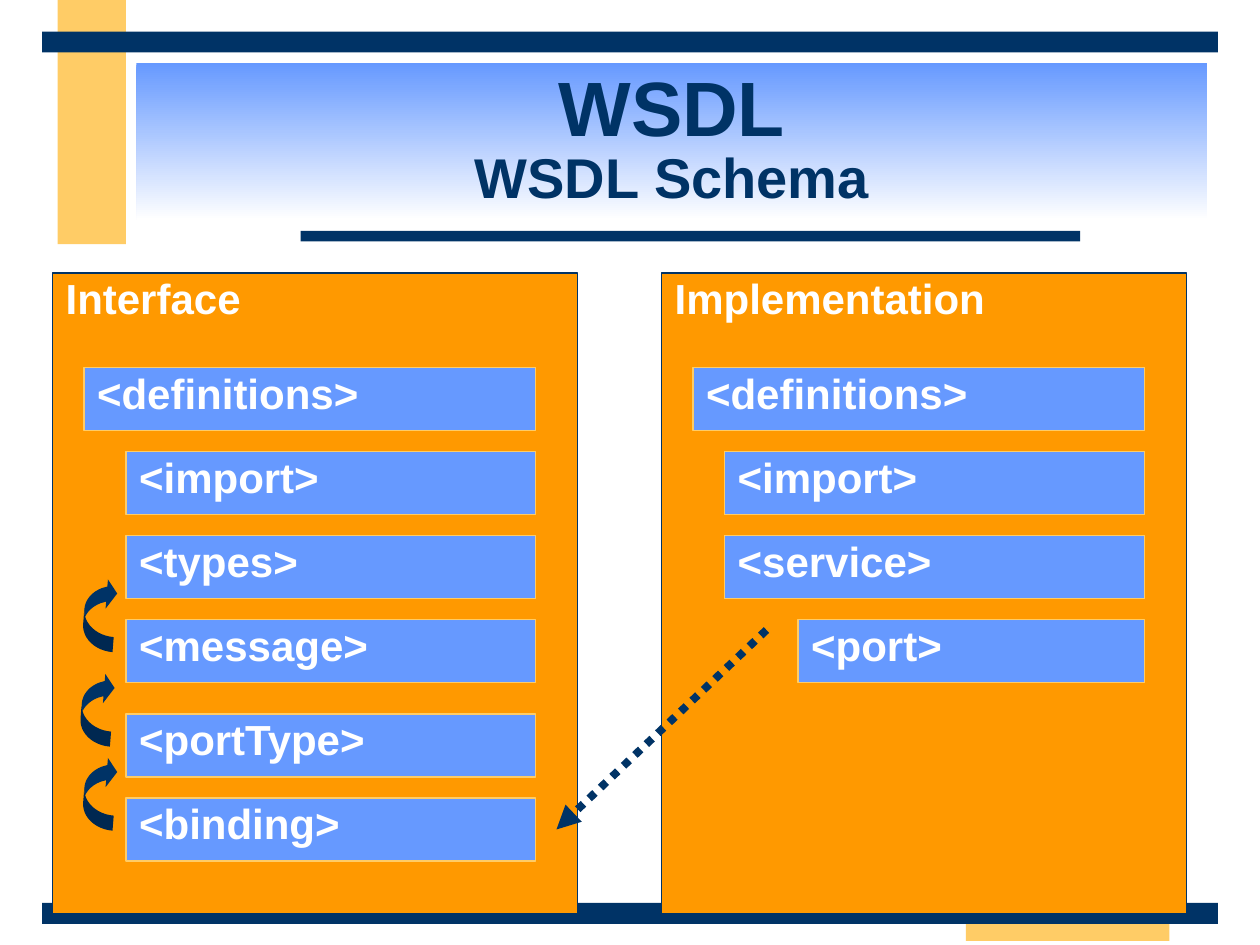
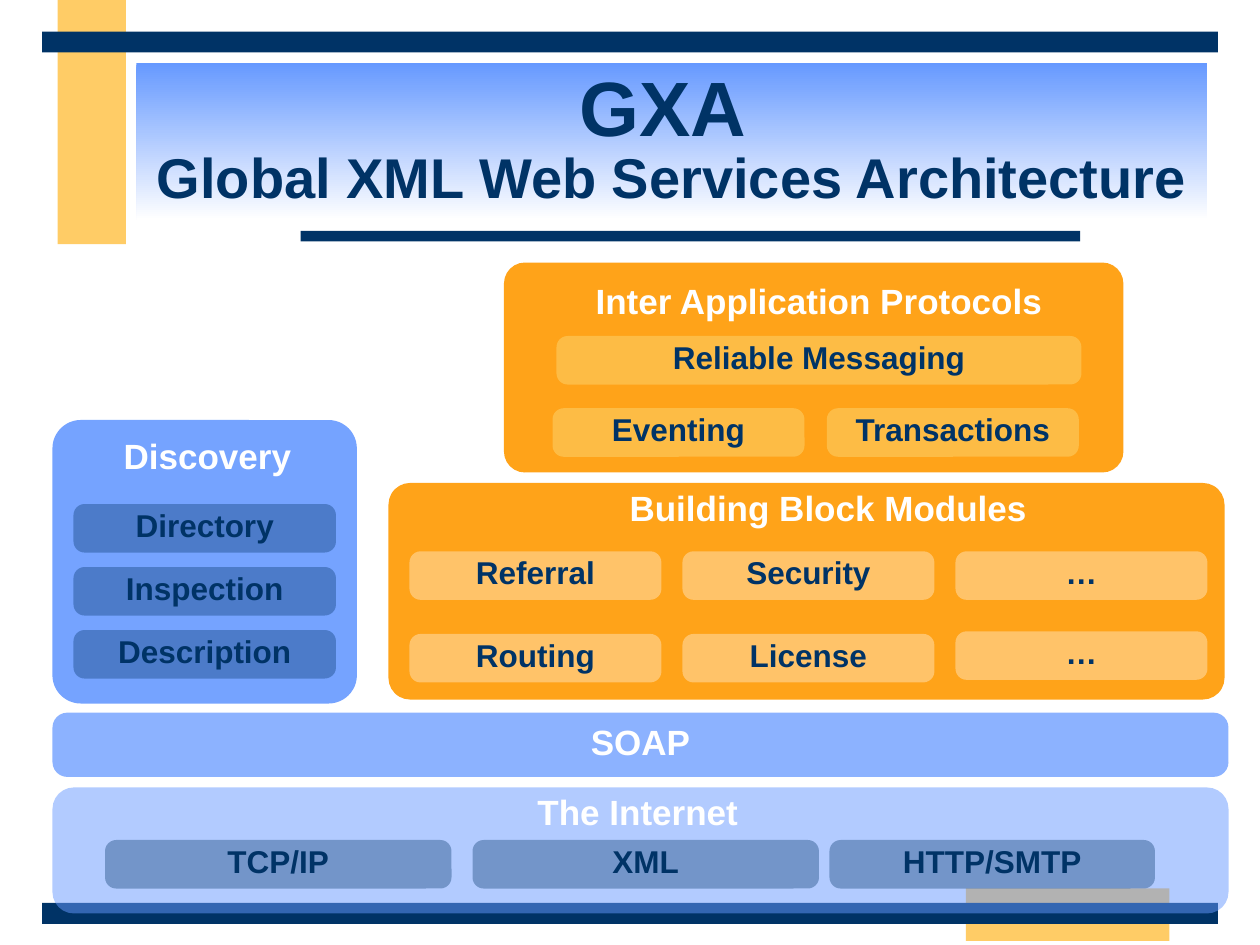
from typing import NamedTuple

from lxml.etree import SubElement
from pptx import Presentation
from pptx.dml.color import RGBColor
from pptx.enum.dml import MSO_LINE
from pptx.enum.shapes import MSO_CONNECTOR as Connector, MSO_SHAPE as Preset
from pptx.enum.text import MSO_ANCHOR as Anchor, PP_ALIGN as Align
from pptx.oxml.ns import qn
from pptx.util import Pt

EMU_PER_PX = 9525
FONT = "Arial"
COLORS = {
    "navy": "003366",
    "blue": "6699FF",
    "orange": "FF9900",
    "gold": "FFCC66",
    "cream": "FCEB98",
    "white": "FFFFFF",
}


class Area(NamedTuple):
    left: int
    top: int
    width: int
    height: int


class Band(NamedTuple):
    area: Area
    color: str


class Label(NamedTuple):
    size: int
    color: str
    align: Align = Align.CENTER
    anchor: Anchor = Anchor.MIDDLE
    inset_bottom: int = 5


class Panel(NamedTuple):
    area: Area
    color: str
    opacity: int
    corner: float
    text: str = ""


class Heading(NamedTuple):
    area: Area
    text: str


class ChipColumn(NamedTuple):
    left: int
    top: int
    width: int
    pitch: int
    color: str
    names: tuple[str, ...]


class Element(NamedTuple):
    left: int
    top: int
    name: str


class Document(NamedTuple):
    left: int
    title: str
    elements: tuple[Element, ...]


BANDS = (
    Band(Area(44, 0, 52, 186), "gold"),
    Band(Area(736, 677, 155, 40), "gold"),
    Band(Area(229, 176, 594, 8), "navy"),
    Band(Area(32, 688, 896, 16), "navy"),
    Band(Area(32, 24, 896, 16), "navy"),
)
TITLE_AREA = Area(104, 48, 816, 120)
TITLE_SIZES = (44, 32)

DOCUMENT_LABEL = Label(24, "white", Align.LEFT, Anchor.TOP, 0)
HEADING_LABEL = Label(20, "white", anchor=Anchor.TOP)
PANEL_LABEL = Label(20, "white")
CHIP_LABEL = Label(18, "navy")
CHIP_HEIGHT = 37
CHIP_CORNER = 0.23

DOCUMENTS = (
    Document(40, "Interface", (
        Element(64, 280, "<definitions>"),
        Element(96, 344, "<import>"),
        Element(96, 408, "<types>"),
        Element(96, 472, "<message>"),
        Element(96, 544, "<portType>"),
        Element(96, 608, "<binding>"),
    )),
    Document(504, "Implementation", (
        Element(528, 280, "<definitions>"),
        Element(552, 344, "<import>"),
        Element(552, 408, "<service>"),
        Element(608, 472, "<port>"),
    )),
)
REFERENCE_ARROWS = ((64, 440), (62, 512), (64, 576))

PANELS = (
    Panel(Area(384, 200, 472, 160), "orange", 90, 0.1),
    Panel(Area(40, 600, 896, 96), "blue", 50, 0.17),
    Panel(Area(40, 543, 896, 49), "blue", 75, 0.23, "SOAP"),
    Panel(Area(40, 320, 232, 216), "blue", 90, 0.1),
    Panel(Area(296, 368, 637, 165), "orange", 90, 0.1),
)
HEADINGS = (
    Heading(Area(400, 213, 448, 37), "Inter Application Protocols"),
    Heading(Area(427, 371, 408, 37), "Building Block Modules"),
    Heading(Area(54, 331, 208, 37), "Discovery"),
    Heading(Area(386, 602, 200, 37), "The Internet"),
)
CHIP_COLUMNS = (
    ChipColumn(424, 256, 400, 0, "cream", ("Reliable Messaging",)),
    ChipColumn(421, 311, 192, 0, "cream", ("Eventing",)),
    ChipColumn(630, 311, 192, 0, "cream", ("Transactions",)),
    ChipColumn(56, 384, 200, 48, "navy", ("Directory", "Inspection", "Description")),
    ChipColumn(312, 420, 192, 63, "white", ("Referral", "Routing")),
    ChipColumn(520, 420, 192, 63, "white", ("Security", "License")),
    ChipColumn(728, 420, 192, 61, "white", ("…", "…")),
    ChipColumn(80, 640, 264, 0, "navy", ("TCP/IP",)),
    ChipColumn(360, 640, 264, 0, "navy", ("XML",)),
    ChipColumn(632, 640, 248, 0, "navy", ("HTTP/SMTP",)),
)


def px(length: int) -> int:
    return length * EMU_PER_PX


def rgb(name: str) -> RGBColor:
    return RGBColor.from_string(COLORS[name])


def add_box(page, area: Area, color: str, preset=Preset.RECTANGLE, line: str = ""):
    box = page.shapes.add_shape(preset, *map(px, area))
    box.shadow.inherit = False
    box.fill.solid()
    box.fill.fore_color.rgb = rgb(color)
    if line:
        box.line.color.rgb = rgb(line)
        box.line.width = Pt(1)
    else:
        box.line.fill.background()
    return box


def add_round_box(page, area: Area, color: str, opacity: int, corner: float):
    box = add_box(page, area, color, Preset.ROUNDED_RECTANGLE)
    box.adjustments[0] = corner
    solid_color = box.fill._xPr.find(".//" + qn("a:srgbClr"))
    SubElement(solid_color, qn("a:alpha"), val=str(opacity * 1000))
    return box


def style_span(span, size: int, color: str) -> None:
    span.font.name = FONT
    span.font.size = Pt(size)
    span.font.bold = True
    span.font.color.rgb = rgb(color)


def write(box, text: str, label: Label) -> None:
    frame = box.text_frame
    frame.text = text
    frame.word_wrap = True
    frame.vertical_anchor = label.anchor
    frame.margin_left = frame.margin_right = px(10)
    frame.margin_top = 0
    frame.margin_bottom = px(label.inset_bottom)
    para = frame.paragraphs[0]
    para.alignment = label.align
    for span in para.runs:
        style_span(span, label.size, label.color)


def add_page(deck, title: str, subtitle: str):
    page = deck.slides.add_slide(deck.slide_layouts[6])
    for band in BANDS:
        add_box(page, band.area, band.color)
    box = add_box(page, TITLE_AREA, "blue")
    box.fill.gradient()
    box.fill.gradient_angle = 270
    for stop, color, position in zip(box.fill.gradient_stops, ("blue", "white"), (0, 1)):
        stop.color.rgb = rgb(color)
        stop.position = position
    frame = box.text_frame
    frame.word_wrap = True
    frame.vertical_anchor = Anchor.MIDDLE
    para = frame.paragraphs[0]
    para.text = f"{title}\v{subtitle}"
    para.alignment = Align.CENTER
    para.line_spacing = 0.85
    for span, size in zip(para.runs, TITLE_SIZES):
        style_span(span, size, "navy")
    return page


def add_document(page, document: Document) -> None:
    panel = add_box(page, Area(document.left, 208, 400, 488), "orange", line="navy")
    write(panel, document.title, DOCUMENT_LABEL)
    right = document.left + 368
    for element in document.elements:
        area = Area(element.left, element.top, right - element.left, 48)
        box = add_box(page, area, "blue", line="gold")
        write(box, element.name, DOCUMENT_LABEL)


def add_reference_arrow(page, left: int, top: int) -> None:
    arrow = add_box(page, Area(left, top, 24, 56), "navy", Preset.CURVED_LEFT_ARROW)
    arrow.rotation = 184.6
    for index, value in enumerate((0.48, 0.93, 0.33)):
        arrow.adjustments[index] = value


def add_binding_arrow(page) -> None:
    arrow = page.shapes.add_connector(
        Connector.STRAIGHT, px(584), px(480), px(424), px(632)
    )
    arrow.line.color.rgb = rgb("navy")
    arrow.line.width = Pt(4.5)
    arrow.line.dash_style = MSO_LINE.ROUND_DOT
    properties = arrow._element.spPr
    SubElement(properties.find(qn("a:ln")), qn("a:tailEnd"), type="triangle")
    SubElement(properties, qn("a:effectLst"))


def add_chips(page, column: ChipColumn) -> None:
    for row, name in enumerate(column.names):
        top = column.top + row * column.pitch
        area = Area(column.left, top, column.width, CHIP_HEIGHT)
        write(add_round_box(page, area, column.color, 35, CHIP_CORNER), name, CHIP_LABEL)


def build_schema(deck) -> None:
    page = add_page(deck, "WSDL", "WSDL Schema")
    for document in DOCUMENTS:
        add_document(page, document)
    for left, top in REFERENCE_ARROWS:
        add_reference_arrow(page, left, top)
    add_binding_arrow(page)


def build_architecture(deck) -> None:
    page = add_page(deck, "GXA ", "Global XML Web Services Architecture")
    for panel in PANELS:
        box = add_round_box(page, panel.area, panel.color, panel.opacity, panel.corner)
        if panel.text:
            write(box, panel.text, PANEL_LABEL)
    for heading in HEADINGS:
        box = page.shapes.add_textbox(*map(px, heading.area))
        write(box, heading.text, HEADING_LABEL)
    for column in CHIP_COLUMNS:
        add_chips(page, column)


def main() -> None:
    deck = Presentation()
    deck.slide_width, deck.slide_height = px(960), px(720)
    build_schema(deck)
    build_architecture(deck)
    deck.save("out.pptx")


if __name__ == "__main__":
    main()
